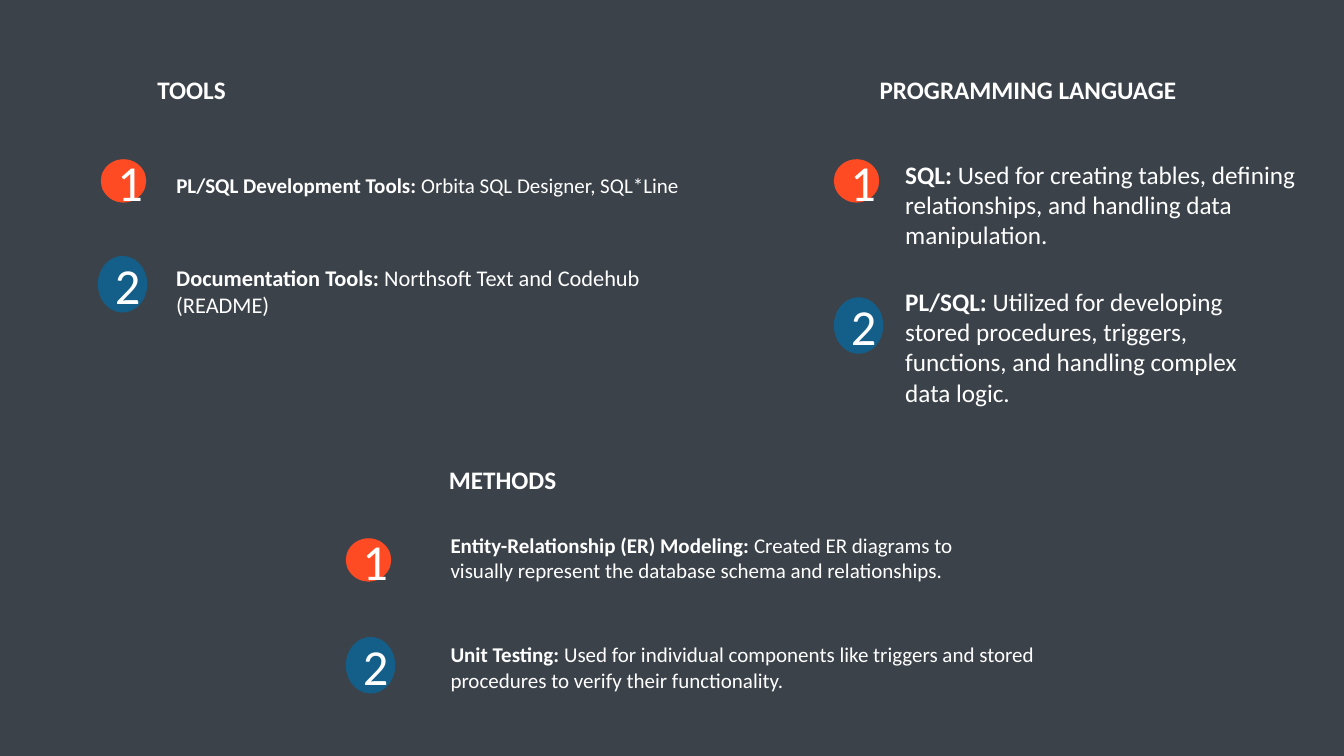
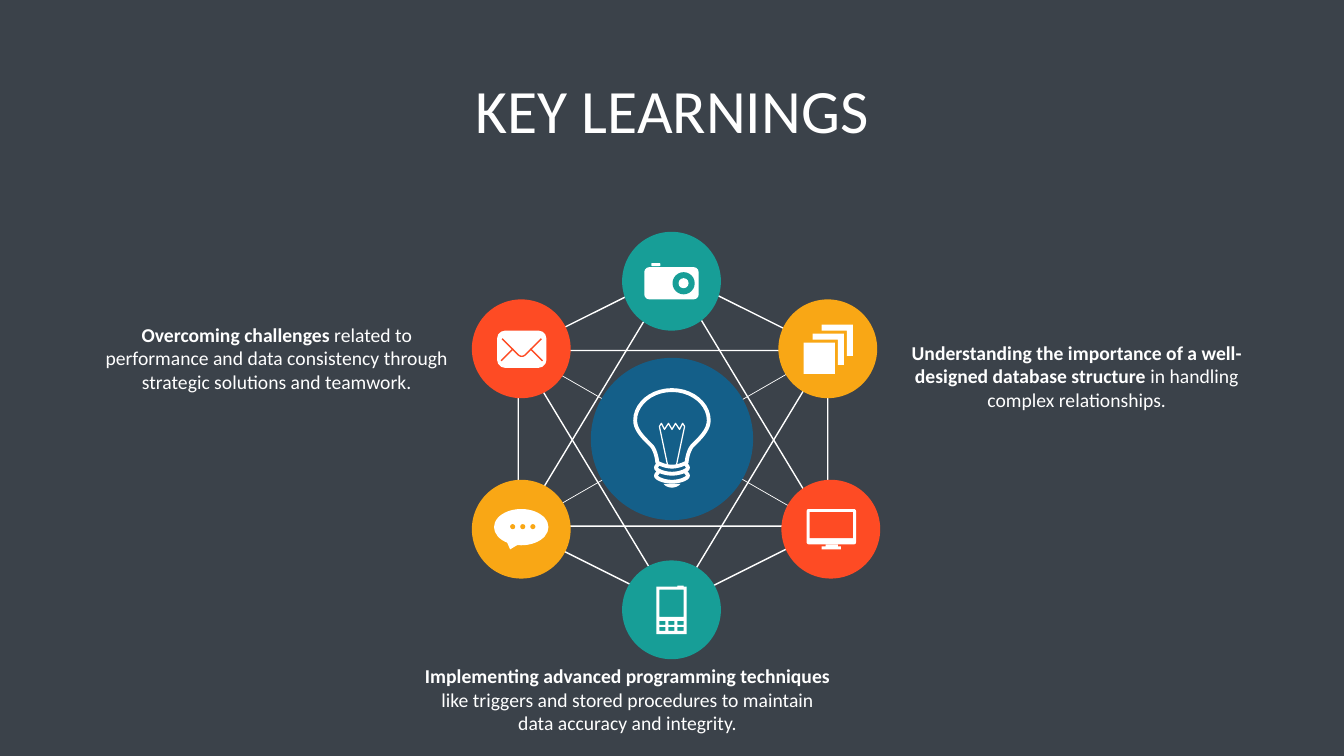
from lxml import etree
from pptx import Presentation
from pptx.dml.color import RGBColor
from pptx.enum.shapes import MSO_CONNECTOR, MSO_SHAPE
from pptx.enum.text import MSO_ANCHOR, PP_ALIGN
from pptx.oxml.ns import qn
from pptx.util import Inches, Pt

FONT = "Calibri"
SLATE, WHITE = "3B424A", "FFFFFF"
ORANGE, BLUE, TEAL, AMBER = "FE4B24", "145F89", "179E97", "F9A715"
DISC, HUB = 0.98, 1.61


# Shared helpers
def rgb(code):
    return RGBColor.from_string(code)


def paint(shape, fill=None, line=None, width=1):
    shape.shadow.inherit = False
    if fill:
        shape.fill.solid()
        shape.fill.fore_color.rgb = rgb(fill)
    else:
        shape.fill.background()
    if line:
        shape.line.color.rgb = rgb(line)
        shape.line.width = Pt(width)
    else:
        shape.line.fill.background()
    return shape


def add_preset(page, kind, left, top, width, height, fill=None, line=None):
    shape = page.shapes.add_shape(
        kind, Inches(left), Inches(top), Inches(width), Inches(height))
    return paint(shape, fill, line)


def add_oval(page, left, top, width, height, fill):
    return add_preset(page, MSO_SHAPE.OVAL, left, top, width, height, fill)


def add_round_box(page, left, top, width, height, radius):
    shape = add_preset(page, MSO_SHAPE.ROUNDED_RECTANGLE, left, top, width, height, WHITE)
    shape.adjustments[0] = radius / height
    return shape


def add_outline(page, left, top, contours, fill=None, line=None, width=1):
    """Draw contours, given in inches from left and top; filled ones are closed."""
    def place(point):
        return Inches(left + point[0]), Inches(top + point[1])

    builder = None
    for contour in contours:
        first, *rest = [place(point) for point in contour]
        if builder is None:
            builder = page.shapes.build_freeform(*first, scale=1.0)
        else:
            builder.move_to(*first)
        builder.add_line_segments(rest, close=bool(fill))
    return paint(builder.convert_to_shape(), fill, line, width)


def add_line(page, start, end, width):
    line = page.shapes.add_connector(
        MSO_CONNECTOR.STRAIGHT, *[Inches(value) for value in (*start, *end)])
    line.line.color.rgb = rgb(WHITE)
    line.line.width = Pt(width)
    etree.SubElement(line._element.spPr, qn("a:effectLst"))


def write(shape, runs, size, align=PP_ALIGN.LEFT):
    """Fill a shape with one paragraph of (text, bold) runs."""
    shape.text_frame.word_wrap = True
    para = shape.text_frame.paragraphs[0]
    para.alignment = align
    for text, bold in runs:
        span = para.add_run()
        span.text = text
        span.font.name = FONT
        span.font.size = Pt(size)
        span.font.bold = bold
        span.font.color.rgb = rgb(WHITE)
    return para


def add_text(page, left, top, width, height, runs, size, align=PP_ALIGN.LEFT):
    box = page.shapes.add_textbox(
        Inches(left), Inches(top), Inches(width), Inches(height))
    write(box, runs, size, align)
    return box


def add_title(page, text):
    box = add_text(page, 0.92, 0.4, 11.5, 1.45, [(text, False)], 44, PP_ALIGN.CENTER)
    box.text_frame.vertical_anchor = MSO_ANCHOR.MIDDLE
    box.text_frame.paragraphs[0].line_spacing = 0.9


# Outline geometry
def rect(left, top, width, height):
    right, bottom = left + width, top + height
    return [(left, top), (right, top), (right, bottom), (left, bottom)]


def curve(start, *cubics, steps=10):
    """Points along joined cubic Bezier curves."""
    points = [start]
    for first, second, end in cubics:
        begin = points[-1]
        for step in range(1, steps + 1):
            t = step / steps
            weights = ((1 - t) ** 3, 3 * t * (1 - t) ** 2, 3 * t * t * (1 - t), t ** 3)
            corners = (begin, first, second, end)
            points.append(tuple(
                sum(weight * corner[axis] for weight, corner in zip(weights, corners))
                for axis in (0, 1)))
    return points


def mirrored(half):
    """Complete a left half that ends on the hub's vertical axis."""
    return half + [(HUB - x, y) for x, y in reversed(half[:-1])]


# Icons, each placed from the corner of its disc
def camera_icon(page, left, top, colour):
    add_round_box(page, left + 0.22, top + 0.35, 0.54, 0.32, 0.05)
    add_round_box(page, left + 0.29, top + 0.31, 0.09, 0.03, 0.01)
    for radius, fill in ((0.11, colour), (0.05, WHITE)):
        add_oval(page, left + 0.61 - radius, top + 0.51 - radius,
                 2 * radius, 2 * radius, fill)


def pages_icon(page, left, top, colour):
    side, edge, step = 0.31, 0.06, 0.09
    add_preset(page, MSO_SHAPE.RECTANGLE, left + 0.25, top + 0.43, side, side, WHITE)
    inner = side - edge
    corner = [(0, 0), (side, 0), (side, side), (inner, side), (inner, edge), (0, edge)]
    for number in (1, 2):
        add_outline(page, left + 0.25 + number * step, top + 0.43 - number * step,
                    [corner], WHITE)


def mail_icon(page, left, top, colour):
    add_round_box(page, left + 0.25, top + 0.31, 0.49, 0.37, 0.08)
    flap = curve((0.3, 0.39), ((0.3, 0.39), (0.46, 0.55), (0.46, 0.55)),
                 ((0.48, 0.57), (0.51, 0.57), (0.53, 0.55)),
                 ((0.53, 0.55), (0.69, 0.39), (0.69, 0.39)))
    folds = [[(0.29, 0.61), (0.41, 0.49)], [(0.7, 0.61), (0.58, 0.49)]]
    add_outline(page, left, top, [flap, *folds], line=colour)


def chat_icon(page, left, top, colour):
    add_oval(page, left + 0.22, top + 0.29, 0.54, 0.36, WHITE)
    add_outline(page, left, top, [[(0.34, 0.6), (0.38, 0.69), (0.48, 0.63)]], WHITE)
    for column in range(3):
        add_oval(page, left + 0.38 + 0.1 * column, top + 0.44, 0.05, 0.05, colour)


def monitor_icon(page, left, top, colour):
    add_round_box(page, left + 0.25, top + 0.29, 0.49, 0.35, 0.02)
    add_preset(page, MSO_SHAPE.RECTANGLE, left + 0.28, top + 0.32, 0.43, 0.26, colour)
    add_outline(page, left, top,
                [rect(0.44, 0.64, 0.12, 0.02), rect(0.4, 0.66, 0.19, 0.03)], WHITE)


def phone_icon(page, left, top, colour):
    keys = [rect(0.37 + 0.09 * column, 0.6 + 0.06 * row, 0.06, 0.04)
            for row in range(2) for column in range(3)]
    add_outline(page, left, top, [
        rect(0.34, 0.26, 0.3, 0.47), rect(0.55, 0.25, 0.06, 0.01),
        rect(0.37, 0.29, 0.24, 0.27), *keys], WHITE)


def bulb_icon(page, left, top):
    middle = HUB / 2
    glass = mirrored(curve(
        (middle, 0.32), ((0.6, 0.32), (0.44, 0.46), (0.44, 0.62)),
        ((0.44, 0.72), (0.53, 0.8), (0.59, 0.86)),
        ((0.65, 0.91), (0.66, 1.04), (0.66, 1.04)),
        ((0.66, 1.04), (0.73, 1.08), (middle, 1.08))))
    thread = mirrored(curve(
        (0.67, 1.05), ((0.66, 1.07), (0.64, 1.08), (0.65, 1.1)),
        ((0.66, 1.12), (0.73, 1.15), (middle, 1.15))))
    cap = curve((0.72, 1.25), ((0.76, 1.3), (0.85, 1.3), (0.89, 1.25)))
    filament = mirrored([(0.76, 1.06), (0.68, 0.68), (0.7, 0.65),
                         (0.73, 0.71), (0.77, 0.65), (middle, 0.71)])
    for drop, shape in ((0, glass), (0, thread), (0.08, thread)):
        add_outline(page, left, top + drop, [shape], line=WHITE, width=2.75)
    add_outline(page, left, top, [cap], WHITE)
    add_outline(page, left, top, [filament], line=WHITE, width=0.88)


# Slide 1: numbered sections
BADGES = [(ORANGE, 0.45, 0.43), (BLUE, 0.49, 0.56)]

# Section: corner, heading, its offset and width, then the items.
# Item: badge offset, text offset, width, height, size, label, detail.
SECTIONS = [
    ((1, 1.58), "TOOLS", (-0.37, -0.89, 2.54), [
        ((0, 0), (0.65, 0.08), 6.38, 0.35, 15,
         "PL/SQL Development Tools: ", "Orbita SQL Designer, SQL*Line"),
        ((-0.03, 0.96), (0.65, 0.99), 5.56, 0.64, 16,
         "Documentation Tools:", " Northsoft Text and Codehub (README)")]),
    ((8.27, 1.58), "PROGRAMMING LANGUAGE", (0, -0.89, 3.85), [
        ((0, 0), (0.61, -0.05), 4.11, 0.91, 18, "SQL: ",
         "Used for creating tables, defining relationships, "
         "and handling data manipulation."),
        ((0, 1.37), (0.61, 1.21), 3.79, 1.21, 18, "PL/SQL: ",
         "Utilized for developing stored procedures, triggers, functions, "
         "and handling complex data logic.")]),
    ((3.43, 5.34), "METHODS", (0.34, -0.78, 2.43), [
        ((0, 0), (0.94, -0.11), 5.66, 0.95, 15, "Entity-Relationship (ER) Modeling:",
         " Created ER diagrams to visually represent the database schema "
         "and relationships."),
        ((0, 0.98), (0.94, 0.98), 6.67, 0.6, 15, "Unit Testing:",
         " Used for individual components like triggers and stored procedures "
         "to verify their functionality.")]),
]


def add_section(page, corner, heading, heading_box, items):
    left, top = corner
    dx, dy, heading_width = heading_box
    add_text(page, left + dx, top + dy, heading_width, 0.4,
             [(heading, True)], 18, PP_ALIGN.CENTER)
    for number, (item, badge_style) in enumerate(zip(items, BADGES), 1):
        badge_at, text_at, width, height, size, label, detail = item
        fill, badge_width, badge_height = badge_style
        badge = add_oval(page, left + badge_at[0], top + badge_at[1],
                         badge_width, badge_height, fill)
        write(badge, [(str(number), False)], 36, PP_ALIGN.CENTER)
        add_text(page, left + text_at[0], top + text_at[1], width, height,
                 [(label, True), (detail, False)], size)


# Slide 2: network of learnings
NODES = [
    (6.17, 2.3, TEAL, camera_icon), (7.72, 2.97, AMBER, pages_icon),
    (4.68, 2.97, ORANGE, mail_icon), (4.68, 4.76, AMBER, chat_icon),
    (7.75, 4.76, ORANGE, monitor_icon), (6.17, 5.56, TEAL, phone_icon),
]

LEARNINGS = [
    (8.87, 3.33, 3.62, "Understanding the importance of a well-designed database structure",
     " in handling complex relationships."),
    (0.94, 3.15, 3.61, "Overcoming challenges",
     " related to performance and data consistency through "
     "strategic solutions and teamwork."),
    (4.09, 6.54, 4.27, "Implementing advanced programming techniques",
     " like triggers and stored procedures to maintain data accuracy and integrity."),
]


def add_web(page, left, top, width, height):
    """Hexagon on its point, two triangles and two diagonals."""
    right, upper, lower = left + width, top + width / 4, top + height - width / 4
    triangle = MSO_SHAPE.ISOSCELES_TRIANGLE
    add_preset(page, triangle, left, upper, width, 2.54, line=WHITE).rotation = 180
    shift = (height - width) / 2
    add_preset(page, MSO_SHAPE.HEXAGON, left - shift, top + shift,
               height, width, line=WHITE).rotation = 90
    add_preset(page, triangle, left + 0.02, top, width - 0.04, 2.51, line=WHITE)
    add_line(page, (left, upper), (right, lower), 0.5)
    add_line(page, (right, upper), (left, lower), 0.5)


def add_network(page):
    add_web(page, 5.14, 2.71, 3.07, 3.3)
    for left, top, colour, icon in NODES:
        add_oval(page, left, top, DISC, DISC, colour)
        icon(page, left, top, colour)
    add_oval(page, 5.86, 3.55, HUB, HUB, BLUE)
    bulb_icon(page, 5.86, 3.55)


def main():
    deck = Presentation()
    deck.slide_width, deck.slide_height = Inches(13.33), Inches(7.5)
    backdrop = deck.slide_master.background.fill
    backdrop.solid()
    backdrop.fore_color.rgb = rgb(SLATE)
    blank = deck.slide_layouts[6]

    page = deck.slides.add_slide(blank)
    for section in SECTIONS:
        add_section(page, *section)

    page = deck.slides.add_slide(blank)
    add_title(page, "KEY LEARNINGS")
    add_network(page)
    for left, top, width, label, detail in LEARNINGS:
        add_text(page, left, top, width, 0.81,
                 [(label, True), (detail, False)], 14, PP_ALIGN.CENTER)

    deck.save("out.pptx")


if __name__ == "__main__":
    main()
